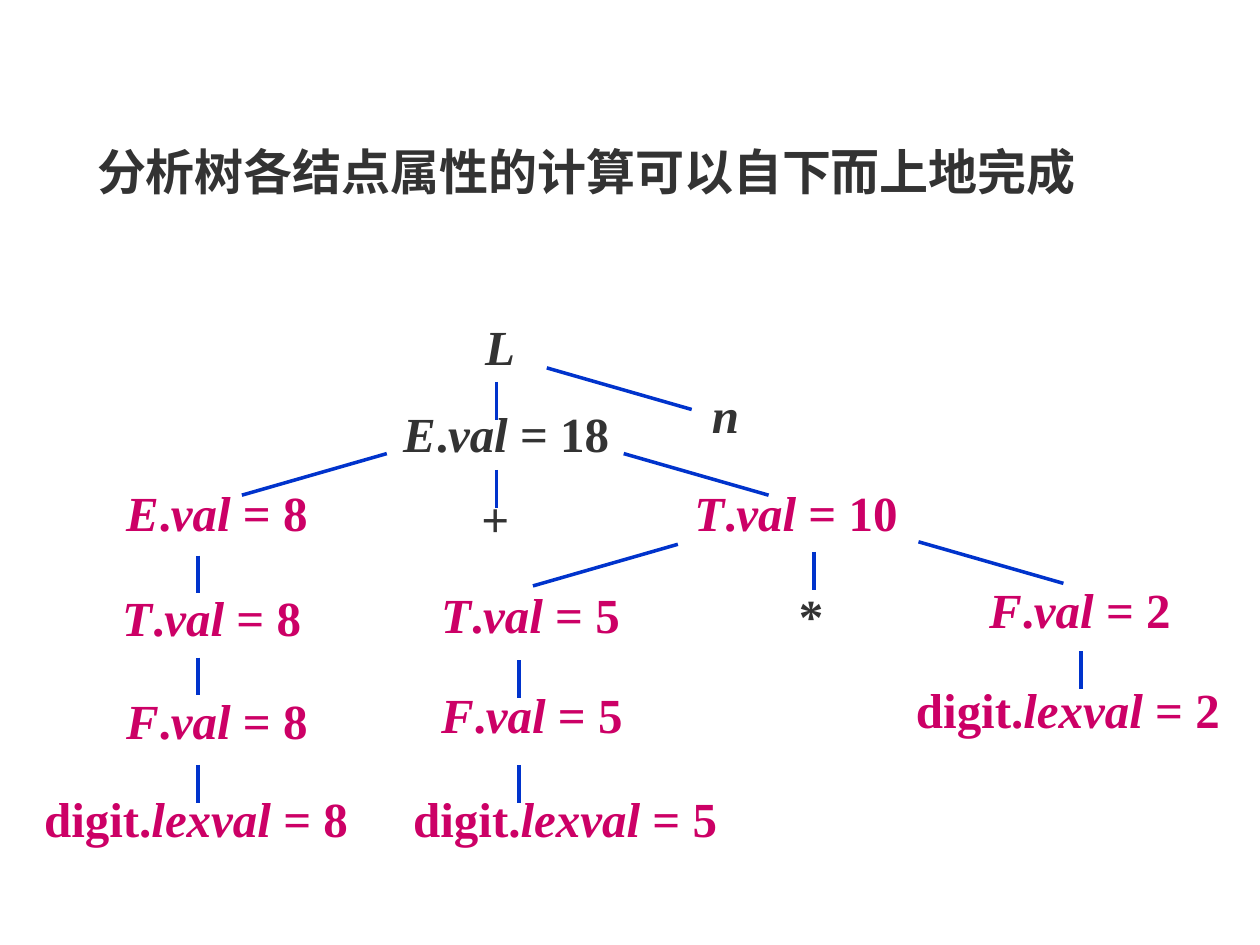
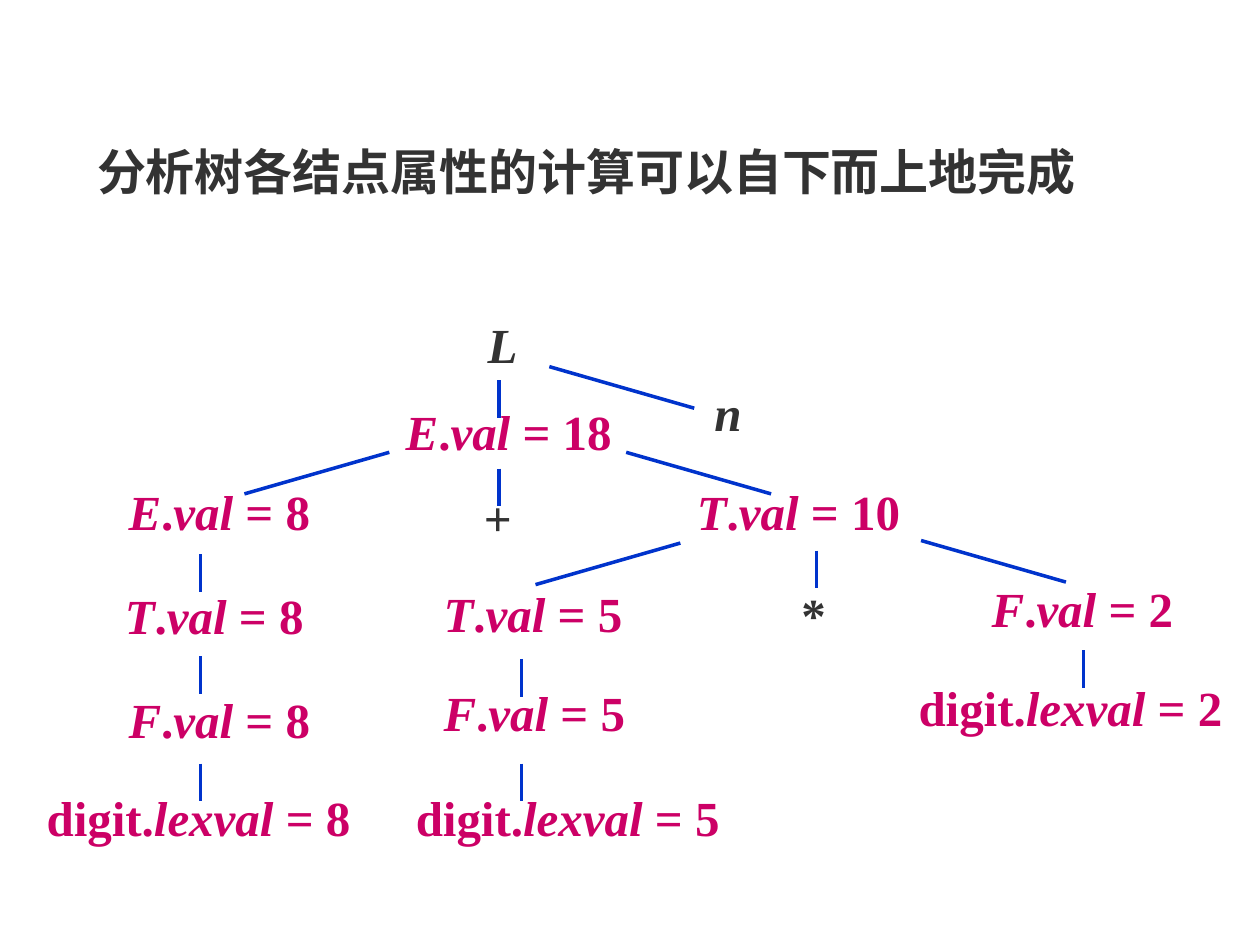
from dataclasses import dataclass

from lxml.etree import SubElement
from pptx import Presentation
from pptx.dml.color import RGBColor
from pptx.enum.shapes import MSO_CONNECTOR
from pptx.enum.text import MSO_ANCHOR, MSO_AUTO_SIZE, PP_ALIGN
from pptx.oxml.ns import qn
from pptx.util import Inches, Pt


@dataclass(frozen=True)
class Theme:
    ink: str = "333333"
    computed: str = "CC0066"
    branch: str = "0033CC"
    branch_width: float = 2
    size: float = 28
    title_font: str = "Arial"
    tree_font: str = "Times New Roman"


THEME = Theme()
TITLE = "分析树各结点属性的计算可以自下而上地完成"
TITLE_BOX = (0.67, 1.07, 8.99, 1.1)

# Nodes: label (italics between underscores), left, top, width within the tree
ROOT_SUM = "_E_._val _= 18"
SYMBOLS = [
    ("_L_", 3.5, 0, 0.43),
    ("_n_", 5.3, 0.54, 0.43),
    ("+", 3.47, 1.37, 0.43),
    ("*", 5.99, 2.14, 0.43),
]
ATTRIBUTES = [
    (ROOT_SUM, 2.85, 0.69, 1.69),
    ("_E_._val _= 8", 0.65, 1.32, 1.58),
    ("_T_._val _= 8", 0.62, 2.15, 1.58),
    ("_F_._val _= 8", 0.65, 2.97, 1.58),
    ("digit._lexval _= 8", 0, 3.75, 2.6),
    ("_T_._val _= 10", 5.16, 1.32, 1.69),
    ("_T_._val _= 5", 3.15, 2.13, 1.69),
    ("_F_._val _= 5", 3.15, 2.92, 1.69),
    ("digit._lexval _= 5", 2.93, 3.75, 2.6),
    ("_F_._val _= 2", 7.5, 2.09, 1.69),
    ("digit._lexval _= 2", 6.92, 2.88, 2.5),
]
NODE_HEIGHT = 0.47

# Branches: run and drop of each direction, with the points they start from
BRANCHES = {
    (0, 0.3): [
        (3.61, 0.53), (3.61, 1.23),
        (1.24, 1.91), (1.24, 2.72), (1.24, 3.57),
        (6.13, 1.88), (3.79, 2.74), (3.79, 3.57), (8.25, 2.67),
    ],
    (1.15, 0.33): [(4.01, 0.42), (4.62, 1.1), (6.96, 1.8)],
    (-1.15, 0.33): [(2.74, 1.1), (5.05, 1.82)],
}

# Each step: top left corner of the tree, and attributes not yet computed
STEPS = [
    ((0.33, 2.5), {ROOT_SUM}),
    ((0.35, 2.49), set()),
]


def write_text(frame, text, *, font, color, align, inset=(0.1, 0.05)):
    """Fill a text frame; parts between underscores become italic."""
    frame.word_wrap = True
    frame.auto_size = MSO_AUTO_SIZE.NONE
    frame.vertical_anchor = MSO_ANCHOR.TOP
    frame.margin_left = frame.margin_right = Inches(inset[0])
    frame.margin_top = frame.margin_bottom = Inches(inset[1])
    paragraph = frame.paragraphs[0]
    paragraph.alignment = align
    for index, part in enumerate(text.split("_")):
        if part:
            run = paragraph.add_run()
            run.text = part
            run.font.name = font
            run.font.size = Pt(THEME.size)
            run.font.bold = True
            run.font.italic = index % 2 == 1
            run.font.color.rgb = RGBColor.from_string(color)


def place_title(slide, box):
    title = slide.shapes.title
    title.left, title.top, title.width, title.height = map(Inches, box)
    write_text(title.text_frame, TITLE, font=THEME.title_font,
               color=THEME.ink, align=PP_ALIGN.LEFT)


def draw_branch(tree, start, end):
    branch = tree.shapes.add_connector(
        MSO_CONNECTOR.STRAIGHT, *map(Inches, start + end))
    branch.line.color.rgb = RGBColor.from_string(THEME.branch)
    branch.line.width = Pt(THEME.branch_width)
    SubElement(branch._element.spPr, qn("a:effectLst"))


def draw_node(tree, label, box, color):
    node = tree.shapes.add_textbox(*map(Inches, box))
    write_text(node.text_frame, label, font=THEME.tree_font, color=color,
               align=PP_ALIGN.JUSTIFY, inset=(0.02, 0.01))


def draw_tree(slide, origin, pending):
    left, top = origin
    tree = slide.shapes.add_group_shape()
    # Branches
    for (run, drop), starts in BRANCHES.items():
        for x, y in starts:
            start = (left + x, top + y)
            draw_branch(tree, start, (start[0] + run, start[1] + drop))
    # Grammar symbols and attribute values
    for label, x, y, width in SYMBOLS + ATTRIBUTES:
        plain = "=" not in label or label in pending
        draw_node(tree, label, (left + x, top + y, width, NODE_HEIGHT),
                  THEME.ink if plain else THEME.computed)


def main():
    deck = Presentation()
    deck.slide_width, deck.slide_height = Inches(10), Inches(7.5)
    title_only = deck.slide_layouts[5]
    for origin, pending in STEPS:
        slide = deck.slides.add_slide(title_only)
        place_title(slide, TITLE_BOX)
        draw_tree(slide, origin, pending)
    deck.save("out.pptx")


if __name__ == "__main__":
    main()
